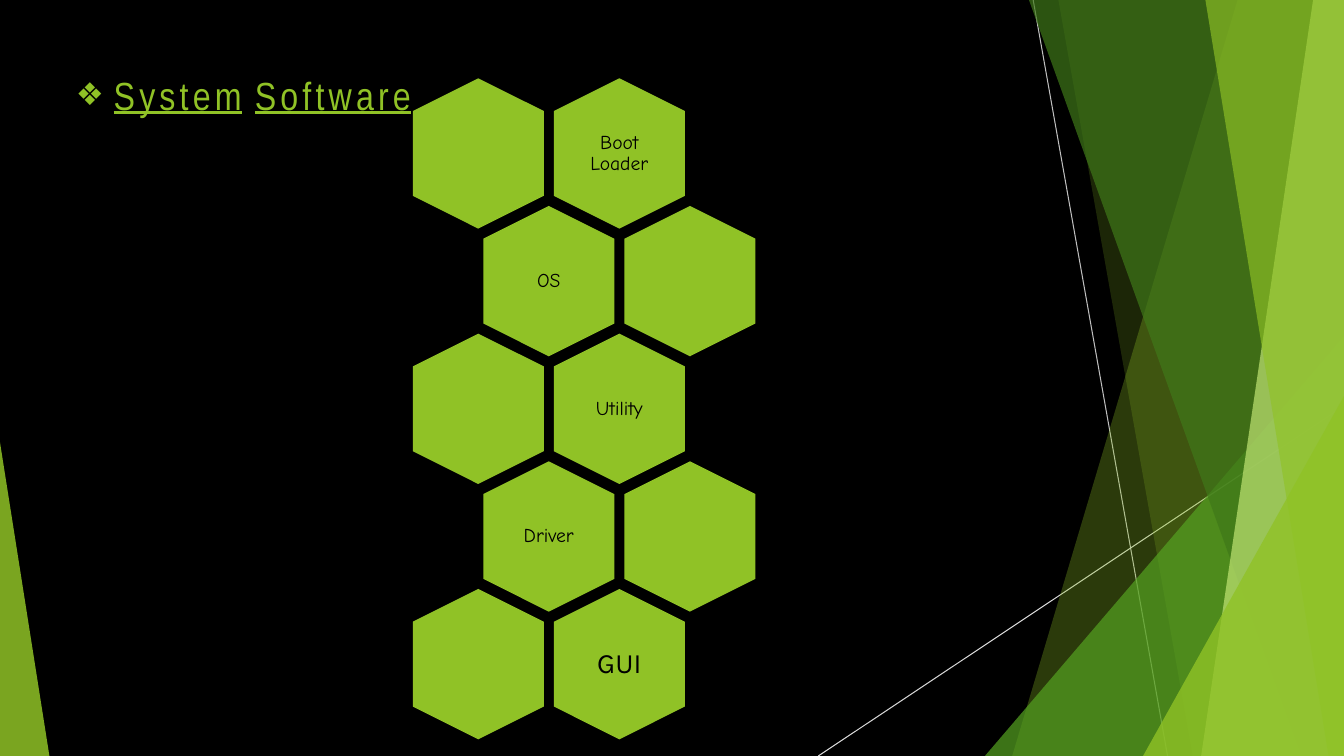
import pptx
import pptx.dml.color
import pptx.enum.shapes
import pptx.enum.text
import pptx.oxml
import pptx.oxml.ns
import pptx.util
import lxml.etree

Pt = pptx.util.Pt
qn = pptx.oxml.ns.qn
SHAPES = pptx.enum.shapes.MSO_SHAPE
COLORS = {
    "black": "000000",
    "lime": "90C226",
    "green": "54A021",
    "forest": "3F7819",
    "pale": "C0E474",
    "gray": "BFBFBF",
    "silver": "D9D9D9",
}


def add_text(paragraph, text, size=14, font="Comic Neue", color="black", underline=False, spacing=0):
    run = paragraph.add_run()
    run.text = text
    run.font.size = Pt(size)
    run.font.name = font
    run.font.underline = underline
    run.font.color.rgb = pptx.dml.color.RGBColor.from_string(COLORS[color])
    run.font._element.set("spc", str(spacing * 100))


def paint(shape, color, opacity=100):
    shape.shadow.inherit = False
    shape.line.fill.background()
    shape.fill.solid()
    shape.fill.fore_color.rgb = pptx.dml.color.RGBColor.from_string(COLORS[color])
    if opacity < 100:
        color_element = shape._element.spPr.find(".//" + qn("a:srgbClr"))
        lxml.etree.SubElement(color_element, qn("a:alpha"), val=str(opacity * 1000))


presentation = pptx.Presentation()
presentation.slide_width = Pt(960)
presentation.slide_height = Pt(540)
slide = presentation.slides.add_slide(presentation.slide_layouts[1])
slide.background.fill.solid()
slide.background.fill.fore_color.rgb = pptx.dml.color.RGBColor.from_string(COLORS["black"])
title = slide.shapes.title._element
title.getparent().remove(title)

rays = [
    (738, 0, 834, 540, "gray"),
    (960, 290, 584.5, 540, "silver"),
]
for start_x, start_y, end_x, end_y, color in rays:
    ray = slide.shapes.add_connector(
        pptx.enum.shapes.MSO_CONNECTOR.STRAIGHT, Pt(start_x), Pt(start_y), Pt(end_x), Pt(end_y)
    )
    ray.line.width = Pt(0.75)
    ray.line.color.rgb = pptx.dml.color.RGBColor.from_string(COLORS[color])
    lxml.etree.SubElement(ray._element.spPr, qn("a:effectLst"))

facets = [
    ("band", 884, 723, "lime", 30),
    ("band", 756, 852, "lime", 20),
    ("triangle", 703.5, 240, 256.5, 300, 1, "green", 72),
    ("band", 735, 929.5, "forest", 70),
    ("band", 938, 858, "pale", 70),
    ("band", 861, 949, "lime", 65),
    ("triangle", 816.5, 283, 143.5, 257, 1, "lime", 80),
    ("triangle", 0, 316, 35.3, 224, 0, "lime", 85),
]
for kind, *geometry, color, opacity in facets:
    if kind == "band":
        top_x, bottom_x = geometry
        outline = slide.shapes.build_freeform(Pt(top_x), Pt(0))
        outline.add_line_segments([(Pt(960), Pt(0)), (Pt(960), Pt(540)), (Pt(bottom_x), Pt(540))])
        facet = outline.convert_to_shape()
    else:
        *box, apex = geometry
        facet = slide.shapes.add_shape(SHAPES.ISOSCELES_TRIANGLE, *map(Pt, box))
        facet.adjustments[0] = apex
    paint(facet, color, opacity)

heading = slide.placeholders[1]
heading.left, heading.top, heading.width, heading.height = Pt(47), Pt(47), Pt(723.5), Pt(454)
heading.text_frame.auto_size = pptx.enum.text.MSO_AUTO_SIZE.NONE
paragraph = heading.text_frame.paragraphs[0]
paragraph.space_before = Pt(10)
properties = paragraph._element.get_or_add_pPr()
properties.set("marL", str(Pt(27)))
properties.set("indent", str(Pt(-27)))
bullet_color = lxml.etree.SubElement(properties, qn("a:buClr"))
lxml.etree.SubElement(bullet_color, qn("a:srgbClr"), val=COLORS["lime"])
lxml.etree.SubElement(properties, qn("a:buSzPct"), val="80000")
lxml.etree.SubElement(properties, qn("a:buChar"), char="❖")
for text, underline, spacing in [("System", True, 3), (" ", False, 0), ("Software", True, 3)]:
    add_text(paragraph, text, size=28, font="Arial Narrow", color="lime", underline=underline, spacing=spacing)

HEX_LENGTH, HEX_BREADTH = 107.4, 93.6
COLUMN_STEP, ROW_STEP = 100.8, 91.2
LABEL_WIDTH, LABEL_HEIGHT = 64, 74
honeycomb = [("", "Boot Loader"), ("OS", ""), ("", "Utility"), ("Driver", ""), ("", "GUI")]
for row, labels in enumerate(honeycomb):
    for column, label in enumerate(labels):
        center_x = 341.6 + (column + row % 2 / 2) * COLUMN_STEP
        center_y = 109.6 + row * ROW_STEP
        hexagon = slide.shapes.add_shape(
            SHAPES.HEXAGON, Pt(center_x - HEX_LENGTH / 2), Pt(center_y - HEX_BREADTH / 2),
            Pt(HEX_LENGTH), Pt(HEX_BREADTH),
        )
        hexagon.rotation = 90
        hexagon.adjustments[0] = 0.25
        hexagon.adjustments[1] = 1.1547
        paint(hexagon, "lime")
        if not label:
            continue
        box = slide.shapes.add_textbox(
            Pt(center_x - LABEL_WIDTH / 2), Pt(center_y - LABEL_HEIGHT / 2), Pt(LABEL_WIDTH), Pt(LABEL_HEIGHT)
        )
        frame = box.text_frame
        frame.word_wrap = True
        frame.vertical_anchor = pptx.enum.text.MSO_ANCHOR.MIDDLE
        frame.margin_left = frame.margin_right = frame.margin_top = frame.margin_bottom = Pt(4.2)
        paragraph = frame.paragraphs[0]
        paragraph.alignment = pptx.enum.text.PP_ALIGN.CENTER
        paragraph.line_spacing = 0.9
        if label == "GUI":
            add_text(paragraph, label, size=20, font="Karla")
        else:
            add_text(paragraph, label)

presentation.save("out.pptx")
